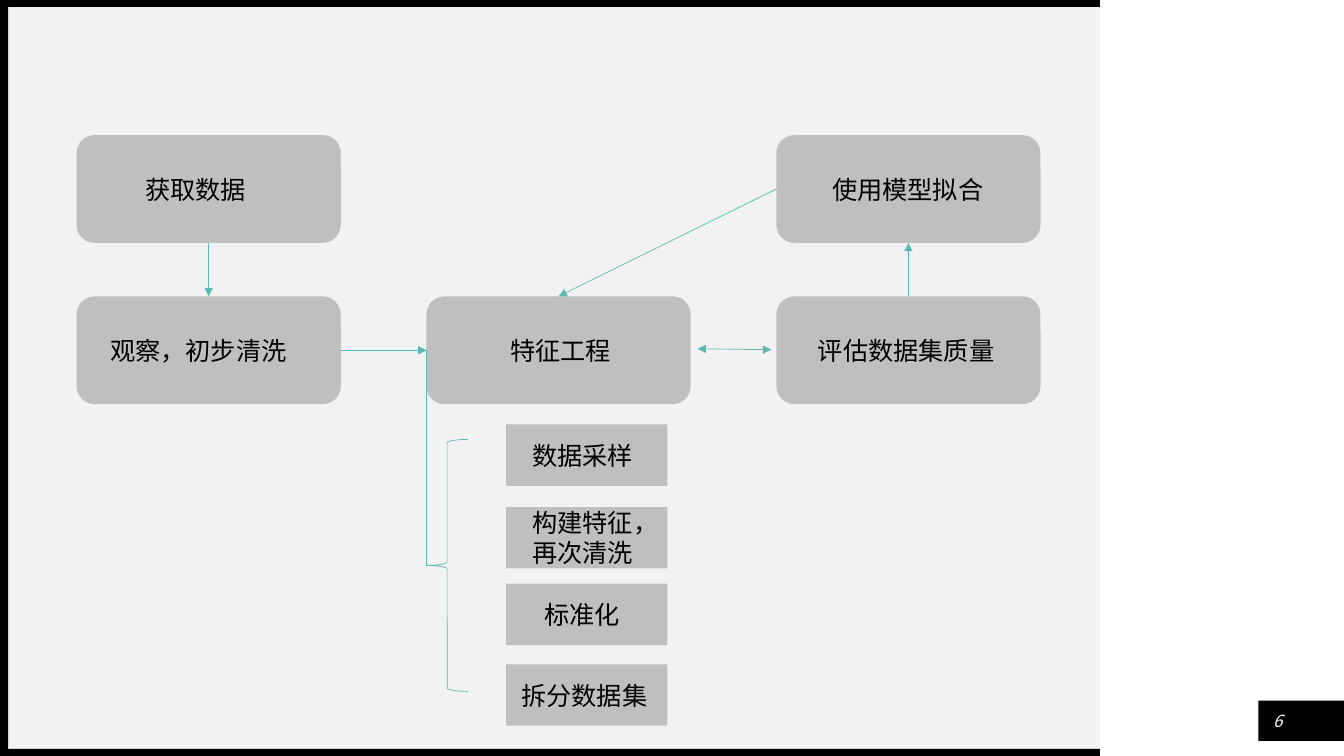
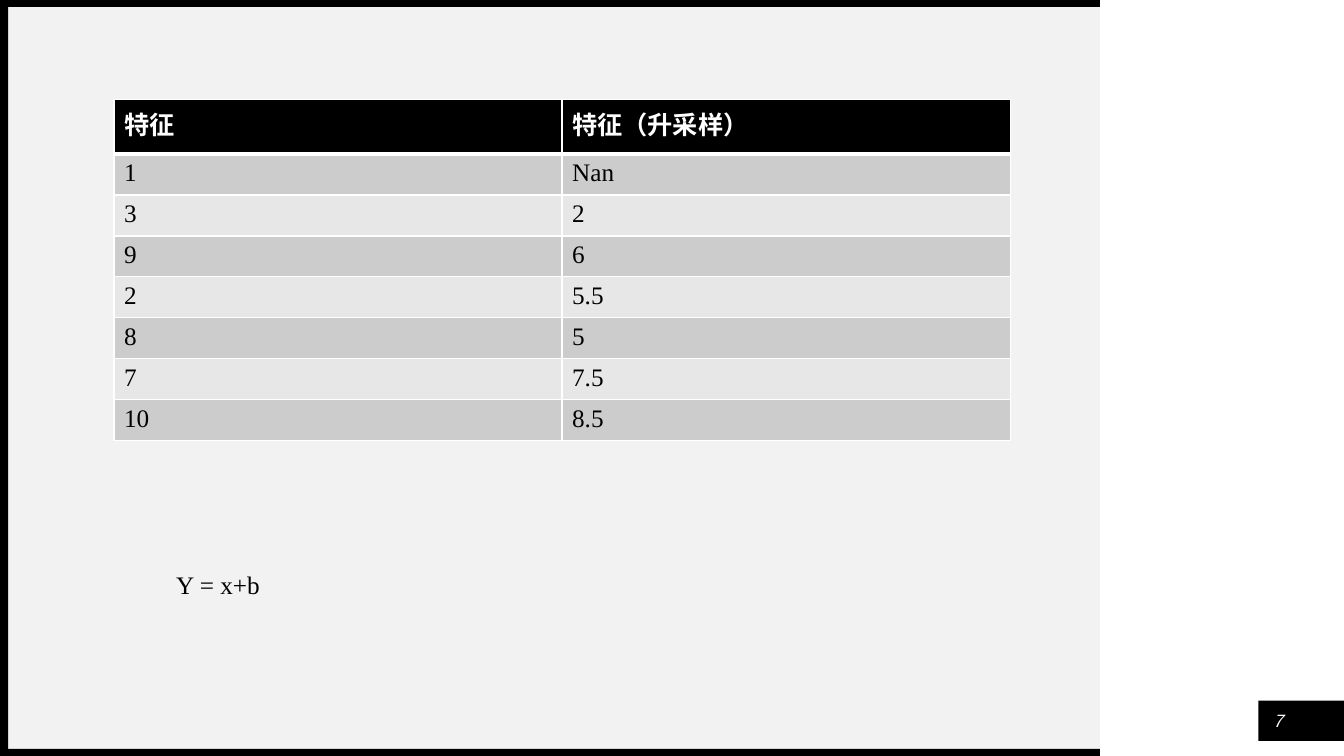
from dataclasses import dataclass

from lxml import etree
from pptx import Presentation
from pptx import util as u
from pptx.dml.color import RGBColor
from pptx.enum import shapes, text
from pptx.oxml import ns

Inches, Pt = u.Inches, u.Pt
Shape = shapes.MSO_SHAPE


@dataclass(frozen=True)
class Theme:
    black: str = "000000"
    white: str = "FFFFFF"
    panel: str = "F2F2F2"
    node: str = "BFBFBF"
    arrow: str = "5CB8B3"
    bands: tuple = ("CCCCCC", "E7E7E7")
    body_font: str = "Times New Roman"
    number_font: str = "Noto Sans CJK SC"
    body_size: int = 18
    number_size: int = 12
    line_width: float = 0.5


THEME = Theme()

# Flow chart: name -> label, left, top, left inset that places the label
NODE_SIZE = (2.62, 1.07)
NODES = {
    "collect": ("获取数据", 0.76, 1.34, 0.63),
    "clean": ("观察，初步清洗", 0.76, 2.94, 0.28),
    "features": ("特征工程", 4.23, 2.94, 0.78),
    "assess": ("评估数据集质量", 7.7, 2.94, 0.36),
    "fit": ("使用模型拟合", 7.7, 1.34, 0.5),
}
TOP, LEFT, BOTTOM, RIGHT = range(4)
ARROWS = [
    ("collect", BOTTOM, "clean", TOP),
    ("clean", RIGHT, "features", LEFT),
    ("assess", TOP, "fit", BOTTOM),
    ("fit", LEFT, "features", TOP),
]

# Steps of feature engineering: label, top, left inset
STEP_SIZE = (1.6, 0.61)
STEPS = [
    ("数据采样", 4.21, 0.26),
    ("构建特征，再次清洗", 5.03, 0.26),
    ("标准化", 5.79, 0.38),
    ("拆分数据集", 6.59, 0.15),
]

SAMPLES = [
    ("特征", "特征（升采样）"),
    ("1", "Nan"),
    ("3", "2"),
    ("9", "6"),
    ("2", "5.5"),
    ("8", "5"),
    ("7", "7.5"),
    ("10", "8.5"),
]


def rgb(value):
    return RGBColor.from_string(value)


def style(para, color=THEME.black, size=THEME.body_size,
          name=THEME.body_font, bold=False, italic=False):
    font = para.font
    font.name, font.size = name, Pt(size)
    font.bold, font.italic = bold, italic
    font.color.rgb = rgb(color)


def add_block(page, kind, left, top, width, height, fill):
    block = page.shapes.add_shape(
        kind, Inches(left), Inches(top), Inches(width), Inches(height))
    block.shadow.inherit = False
    block.fill.solid()
    block.fill.fore_color.rgb = rgb(fill)
    block.line.fill.background()
    return block


def add_labelled_block(page, kind, label, left, top, size, inset):
    block = add_block(page, kind, left, top, *size, THEME.node)
    frame = block.text_frame
    frame.word_wrap = True
    frame.vertical_anchor = text.MSO_ANCHOR.MIDDLE
    frame.margin_left = Inches(inset)
    frame.margin_top = frame.margin_bottom = 0
    para = frame.paragraphs[0]
    para.text = label
    para.alignment = text.PP_ALIGN.LEFT
    style(para)
    return block


def add_text(page, content, left, top, width, height):
    box = page.shapes.add_textbox(
        Inches(left), Inches(top), Inches(width), Inches(height))
    frame = box.text_frame
    frame.word_wrap = True
    frame.paragraphs[0].text = content
    return frame


def add_line(page, start=(0, 0), end=(0, 0), head=False, tail=False):
    line = page.shapes.add_connector(
        shapes.MSO_CONNECTOR.STRAIGHT, *map(Inches, start + end))
    line.line.color.rgb = rgb(THEME.arrow)
    line.line.width = Pt(THEME.line_width)
    outline = line.line._get_or_add_ln()
    for tag, wanted in (("a:headEnd", head), ("a:tailEnd", tail)):
        if wanted:
            etree.SubElement(outline, ns.qn(tag), type="triangle")
    etree.SubElement(line._element.spPr, ns.qn("a:effectLst"))
    return line


def join(page, source, source_side, target, target_side, tail=True):
    line = add_line(page, tail=tail)
    line.begin_connect(source, source_side)
    line.end_connect(target, target_side)


def set_borders(cell, top=1, bottom=1):
    """Draw white cell borders; top and bottom widths are in points."""
    properties = cell._tc.get_or_add_tcPr()
    widths = {"a:lnL": 1, "a:lnR": 1, "a:lnT": top, "a:lnB": bottom}
    for position, (tag, width) in enumerate(widths.items()):
        border = etree.Element(ns.qn(tag), w=str(Pt(width)))
        fill = etree.SubElement(border, ns.qn("a:solidFill"))
        etree.SubElement(fill, ns.qn("a:srgbClr"), val=THEME.white)
        properties.insert(position, border)


def add_sample_table(page, rows, left, top, width, height, header_height):
    columns = len(rows[0])
    table = page.shapes.add_table(
        len(rows), columns, Inches(left), Inches(top),
        Inches(width), Inches(height)).table
    row_height = (height - header_height) / (len(rows) - 1)
    for index, values in enumerate(rows):
        header = index == 0
        fill = THEME.black if header else THEME.bands[(index - 1) % 2]
        table.rows[index].height = Inches(header_height if header else row_height)
        for cell, value in zip(table.rows[index].cells, values):
            cell.fill.solid()
            cell.fill.fore_color.rgb = rgb(fill)
            set_borders(cell, top=3 if index == 1 else 1, bottom=3 if header else 1)
            para = cell.text_frame.paragraphs[0]
            para.text = value
            style(para, THEME.white if header else THEME.black, bold=header)


def add_page(deck, number):
    """Add a page with the panel, frame and page number."""
    page = deck.slides.add_slide(deck.slide_layouts[6])
    for *place, fill in (
        (0.08, 0.07, 10.83, 7.36, THEME.panel),
        (12.48, 6.95, 0.86, 0.4, THEME.black),
        (0, 7.43, 10.91, 0.07, THEME.black),
        (0, 0, 10.91, 0.07, THEME.black),
        (0, 0, 0.08, 7.5, THEME.black),
    ):
        add_block(page, Shape.RECTANGLE, *place, fill)

    # Page number
    frame = add_text(page, str(number), 12.52, 7, 0.3, 0.3)
    frame.margin_left = frame.margin_right = 0
    frame.margin_top = frame.margin_bottom = 0
    frame.vertical_anchor = text.MSO_ANCHOR.MIDDLE
    para = frame.paragraphs[0]
    para.alignment = text.PP_ALIGN.CENTER
    style(para, THEME.white, THEME.number_size, THEME.number_font, italic=True)
    return page


def build_flow(page):
    nodes = {
        name: add_labelled_block(
            page, Shape.ROUNDED_RECTANGLE, label, left, top, NODE_SIZE, inset)
        for name, (label, left, top, inset) in NODES.items()
    }
    for label, top, inset in STEPS:
        add_labelled_block(page, Shape.RECTANGLE, label, 5.02, top, STEP_SIZE, inset)

    # Brace around the steps
    brace = add_block(page, Shape.LEFT_BRACE, 4.23, 4.36, 0.41, 2.5, THEME.panel)
    brace.fill.background()
    brace.line.color.rgb = rgb(THEME.arrow)
    brace.line.width = Pt(THEME.line_width)
    join(page, brace, LEFT, nodes["features"], LEFT, tail=False)

    # Arrows between the stages
    for source, source_side, target, target_side in ARROWS:
        join(page, nodes[source], source_side, nodes[target], target_side)
    add_line(page, (6.92, 3.46), (7.65, 3.47), head=True, tail=True)


def build_samples(page):
    add_sample_table(page, SAMPLES, 1.13, 0.99, 8.89, 3.38, header_height=0.54)
    formula = add_text(page, "Y = x+b", 1.65, 5.6, 4.44, 0.4)
    style(formula.paragraphs[0])


def main():
    deck = Presentation()
    deck.slide_width, deck.slide_height = Inches(13.33), Inches(7.5)
    for number, build in enumerate((build_flow, build_samples), start=6):
        build(add_page(deck, number))
    deck.save("out.pptx")


if __name__ == "__main__":
    main()
